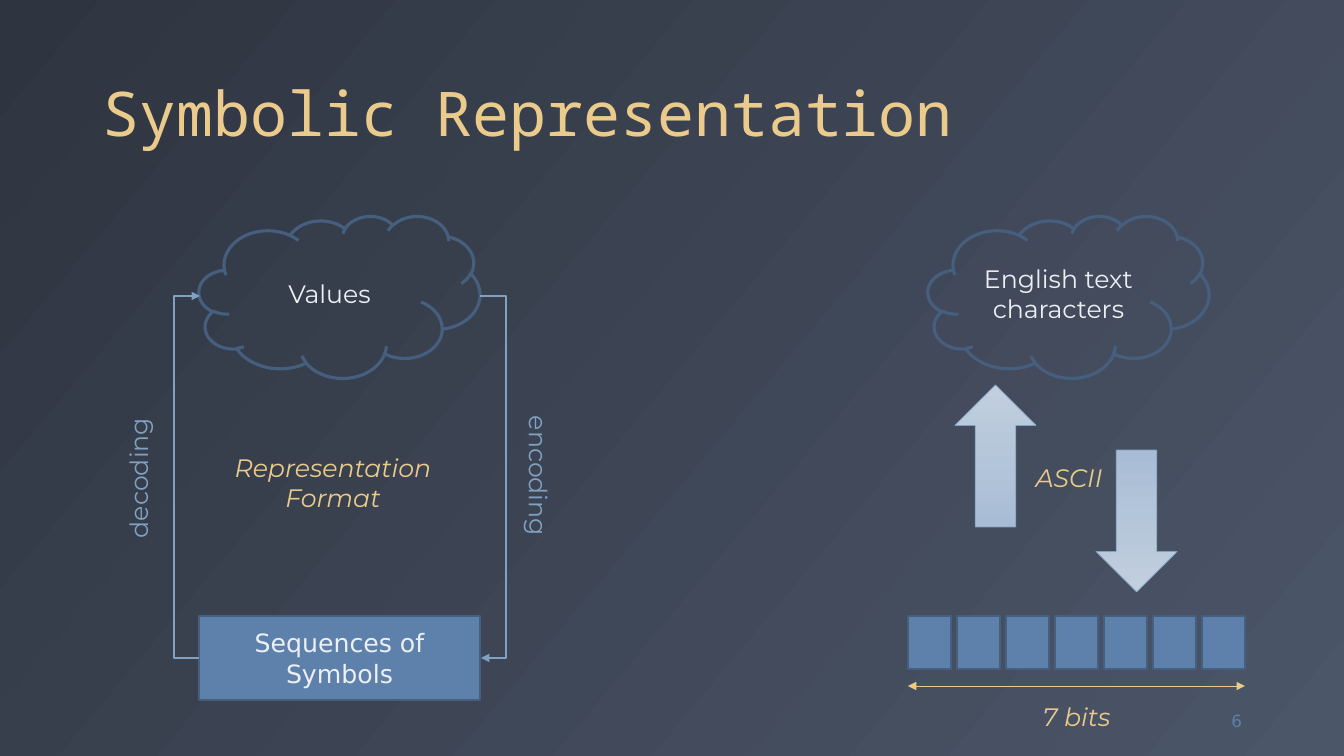
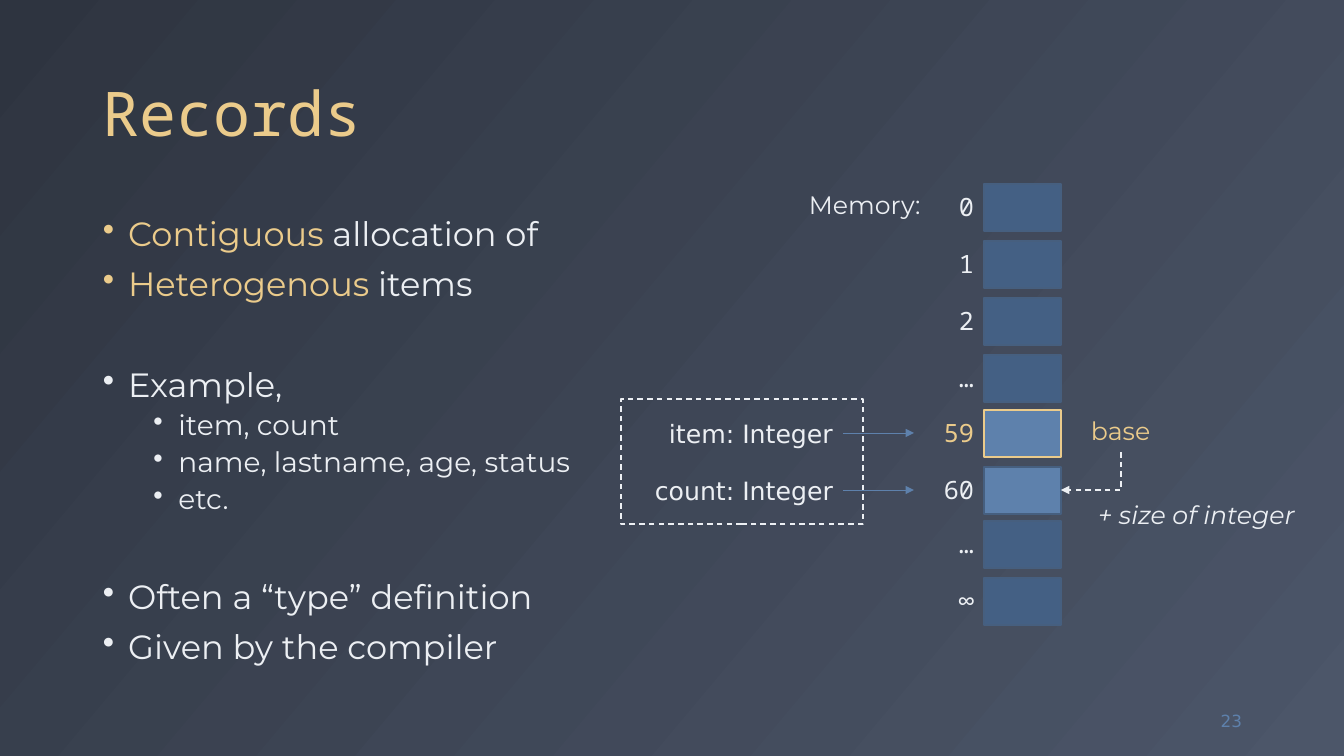
from dataclasses import dataclass

from lxml.etree import SubElement
from pptx import Presentation
from pptx.dml.color import RGBColor
from pptx.enum.dml import MSO_LINE
from pptx.enum.shapes import MSO_CONNECTOR, MSO_SHAPE
from pptx.enum.text import MSO_ANCHOR, MSO_AUTO_SIZE, PP_ALIGN
from pptx.oxml.ns import qn
from pptx.util import Emu, Pt

SCALE = 914400 / 100.8


@dataclass(frozen=True)
class Theme:
    """Colours, fonts and type sizes of the deck."""
    night: str = "2E3440"
    slate: str = "4C5669"
    gold: str = "EBCB8B"
    snow: str = "ECEFF3"
    blue: str = "5E81AC"
    deep: str = "446084"
    edge: str = "465F7F"
    sky: str = "81A1C1"
    mist: str = "C1CFDF"
    haze: str = "A8BDD5"
    sans: str = "Montserrat"
    mono: str = "Noto Sans Mono"
    plain: str = "DejaVu Sans"
    title: int = 44
    body: int = 24
    sub: int = 20
    text: int = 18
    foot: int = 12


def px(*values):
    """Turn pixels into EMU."""
    return [Emu(round(value * SCALE)) for value in values]


def blend(fill, first, last, angle):
    """Fill with a two-colour gradient, its angle given clockwise."""
    fill.gradient()
    fill.gradient_angle = 360 - angle
    for stop, color in zip(fill.gradient_stops, (first, last)):
        stop.color.rgb = RGBColor.from_string(color)


def stroke(line, color, width, dashed=False):
    """Set the colour, width and dash of a line."""
    line.color.rgb = RGBColor.from_string(color)
    line.width = Pt(width)
    if dashed:
        line.dash_style = MSO_LINE.DASH


def style(font, name, size, color, italic=False):
    """Set the look of a font."""
    font.name, font.size = name, Pt(size)
    font.color.rgb = RGBColor.from_string(color)
    if italic:
        font.italic = True


class Deck:
    """Holds the style and the current slide."""

    def __init__(self, theme):
        """Start a deck with the shared background."""
        self.theme = theme
        self.show = Presentation()
        self.show.slide_width, self.show.slide_height = px(1344, 756)
        blend(self.show.slide_master.background.fill, theme.night, theme.slate, 40)
        self.shapes = None

    def page(self, title, number):
        """Add a slide with its title and number."""
        t = self.theme
        self.shapes = self.show.slides.add_slide(self.show.slide_layouts[6]).shapes
        head = self.label(title, (93, 18, 1159, 137), t.gold, t.mono, t.title,
                          wrap=True, anchor=MSO_ANCHOR.BOTTOM)
        head.text_frame.paragraphs[0].line_spacing = 0.9
        self.label(str(number), (1168, 701, 84, 40), t.blue, t.plain, t.foot,
                   align=PP_ALIGN.RIGHT, wrap=True, anchor=MSO_ANCHOR.MIDDLE)

    def letter(self, frame, text, color, font, size, align, italic=False):
        """Put text of one style into a frame."""
        frame.text = text
        for para in frame.paragraphs:
            para.alignment = align
            style(para.font, font, size, color, italic)

    def label(self, text, box, color, font=None, size=None, align=PP_ALIGN.LEFT,
              italic=False, turn=0, wrap=False, anchor=MSO_ANCHOR.TOP):
        """Add a text box; without wrap it fits its text."""
        item = self.shapes.add_textbox(*px(*box))
        item.rotation = turn
        frame = item.text_frame
        frame.word_wrap, frame.vertical_anchor = wrap, anchor
        if not wrap:
            frame.auto_size = MSO_AUTO_SIZE.SHAPE_TO_FIT_TEXT
        self.letter(frame, text, color, font or self.theme.sans,
                    size or self.theme.text, align, italic)
        return item

    def shape(self, kind, box, fill=None, edge=None, width=1, dashed=False,
              text="", font=None):
        """Add a preset shape, with centred text if any."""
        t = self.theme
        item = self.shapes.add_shape(kind, *px(*box))
        item.shadow.inherit = False
        if fill:
            item.fill.solid()
            item.fill.fore_color.rgb = RGBColor.from_string(fill)
        else:
            item.fill.background()
        stroke(item.line, edge or t.edge, width, dashed)
        if text:
            item.text_frame.word_wrap = True
            item.text_frame.vertical_anchor = MSO_ANCHOR.MIDDLE
            self.letter(item.text_frame, text, t.snow, font or t.sans, t.text,
                        PP_ALIGN.CENTER)
        return item

    def cloud(self, left, text):
        """Add a cloud of values."""
        self.shape(MSO_SHAPE.CLOUD, (left, 216, 281, 162), width=2.25, text=text)

    def block(self, left, top, turn=0):
        """Add a shaded block arrow."""
        t = self.theme
        item = self.shape(MSO_SHAPE.UP_ARROW, (left, top, 81, 142),
                          edge=t.sky, width=0.5)
        blend(item.fill, t.mist, t.haze, 90)
        item.rotation = turn

    def arrow(self, start, end, color, width=0.5, kind=MSO_CONNECTOR.STRAIGHT,
              dashed=False, both=False):
        """Add a connector with an arrowhead at its end, or at both."""
        item = self.shapes.add_connector(kind, *px(*start, *end))
        stroke(item.line, color, width, dashed)
        props = item.element.spPr
        for tag in ("a:headEnd", "a:tailEnd") if both else ("a:tailEnd",):
            SubElement(props.find(qn("a:ln")), qn(tag), type="triangle")
        SubElement(props, qn("a:effectLst"))
        return props

    def loop(self, start, end, reach):
        """Add an elbow that runs out sideways by reach and comes back."""
        props = self.arrow(start, end, self.theme.sky, 1.5, MSO_CONNECTOR.ELBOW)
        ratio = round(100000 * reach / (end[0] - start[0]))
        guides = props.find(qn("a:prstGeom")).find(qn("a:avLst"))
        SubElement(guides, qn("a:gd"), name="adj1", fmla=f"val {ratio}")

    def hook(self, start, end):
        """Add a dashed elbow that goes down, then left."""
        wide, high = start[0] - end[0], end[1] - start[1]
        left = (start[0] + end[0] - high) / 2
        top = (start[1] + end[1] - wide) / 2
        props = self.arrow((left, top), (left + high, top + wide), self.theme.snow,
                           1, MSO_CONNECTOR.ELBOW, dashed=True)
        props.find(qn("a:prstGeom")).set("prst", "bentConnector2")
        props.find(qn("a:xfrm")).set("rot", "5400000")

    def list(self, box, rows):
        """Add bullets from rows of level, space before, gold and plain text."""
        t = self.theme
        frame = self.shapes.add_textbox(*px(*box)).text_frame
        frame.word_wrap, frame.vertical_anchor = True, MSO_ANCHOR.MIDDLE
        for i, (level, space, gold, plain) in enumerate(rows):
            para = frame.add_paragraph() if i else frame.paragraphs[0]
            para.level, para.line_spacing = level, 0.9
            para.space_before = Pt(space)
            props = para._p.get_or_add_pPr()
            props.set("marL", str(228600 + 457200 * level))
            props.set("indent", "-228600")
            SubElement(props, qn("a:buChar"), char="•")
            style(para.font, t.sans, t.sub if level else t.body, t.snow)
            if gold:
                run = para.add_run()
                run.text = gold
                run.font.color.rgb = RGBColor.from_string(t.gold)
            para.add_run().text = plain


def symbols(deck):
    """Draw the slide on values and their symbols."""
    t = deck.theme
    mid = PP_ALIGN.CENTER
    deck.page("Symbolic Representation", 6)
    deck.block(955, 385)
    deck.block(1096, 450, 180)
    deck.cloud(199, "Values")
    deck.cloud(928, "English text\vcharacters")
    deck.shape(MSO_SHAPE.RECTANGLE, (199, 616, 281, 84), t.blue,
               text="Sequences of Symbols", font=t.plain)
    deck.loop((480, 296), (481, 658), 26)
    deck.loop((199, 658), (200, 296), -25)
    deck.label("encoding", (468, 457, 142, 40), t.sky, turn=90)
    deck.label("decoding", (67, 457, 142, 40), t.sky, turn=270)
    for i in range(7):
        deck.shape(MSO_SHAPE.RECTANGLE, (908 + 49 * i, 616, 43, 53), t.blue)
    deck.arrow((908, 686), (1245, 686), t.gold, both=True)
    for text, box in (("Representation\nFormat", (223, 447, 220, 72)),
                      ("ASCII", (1025, 457, 88, 40)),
                      ("7 bits", (1032, 696, 89, 40))):
        deck.label(text, box, t.gold, align=mid, italic=True)


def records(deck):
    """Draw the slide on records in memory."""
    t = deck.theme
    right = PP_ALIGN.RIGHT
    deck.page("Records", 23)
    deck.list((93, 202, 494, 480), (
        (0, 10, "Contiguous", " allocation of"),
        (0, 10, "Heterogenous", " items"),
        (0, 46, "", "Example,"),
        (1, 5, "", "item, count"),
        (1, 5, "", "name, lastname, age, status"),
        (1, 5, "", "etc."),
        (0, 46, "", "Often a “type” definition"),
        (0, 10, "", "Given by the compiler")))
    for start, cells in ((184, ("0", "1", "2", "…")), (410, ("59", "60")),
                         (521, ("…", "∞"))):
        for i, name in enumerate(cells):
            top = start + 57 * i
            base = name == "59"
            fill = t.blue if name in ("59", "60") else t.deep
            deck.shape(MSO_SHAPE.RECTANGLE, (984, top, 77, 47), fill,
                       t.gold if base else t.edge)
            deck.label(name, (914, top + 2, 70, 42), t.gold if base else t.snow,
                       t.mono, align=right, wrap=True)
    deck.label("Memory:", (799, 184, 133, 40), t.snow)
    deck.shape(MSO_SHAPE.RECTANGLE, (621, 399, 242, 125), edge=t.snow, dashed=True)
    for text, left, top in (("item: Integer", 651, 413), ("count: Integer", 637, 470)):
        deck.label(text, (left, top, 843 - left, 40), t.snow, t.plain, align=right)
        deck.arrow((843, top + 20), (914, top + 20), t.blue)
    deck.label("base", (1081, 410, 80, 40), t.gold)
    deck.hook((1121, 452), (1061, 490))
    deck.label("+ size of integer", (1088, 494, 220, 40), t.snow, italic=True)


deck = Deck(Theme())
symbols(deck)
records(deck)
deck.show.save("out.pptx")
